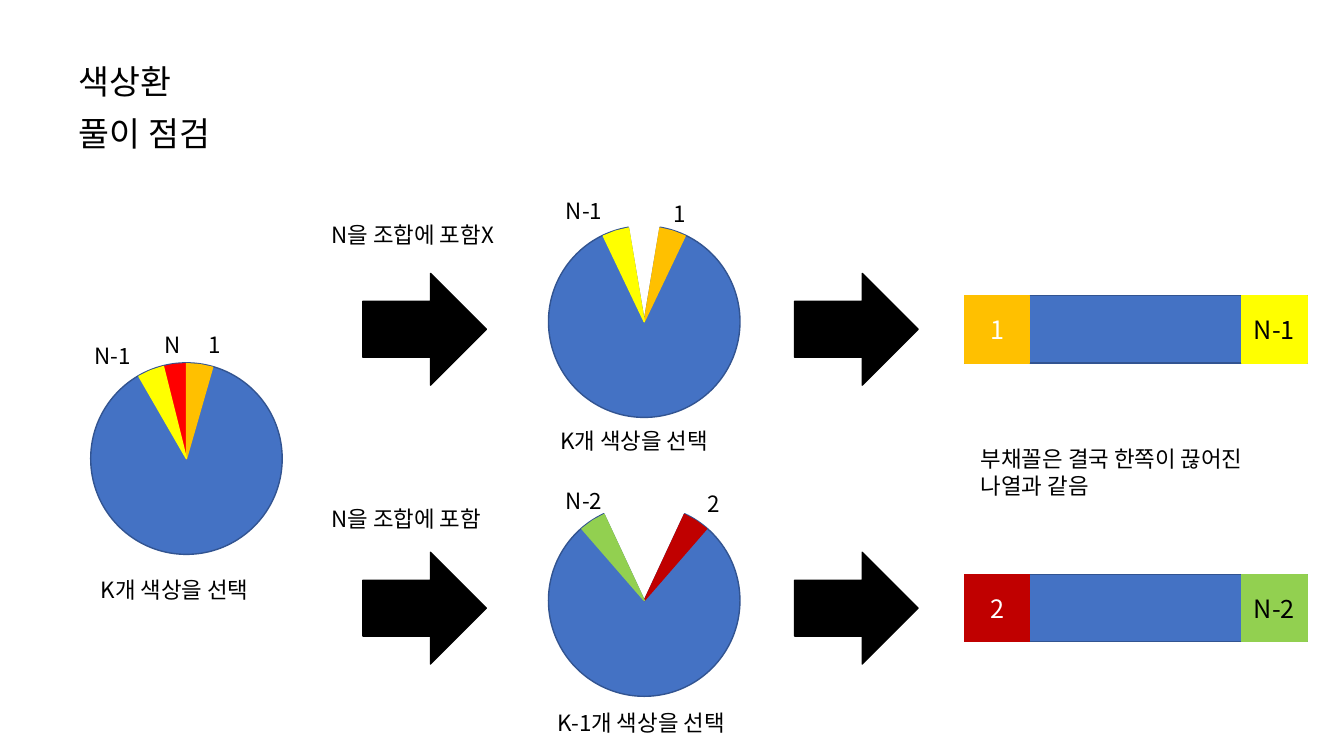
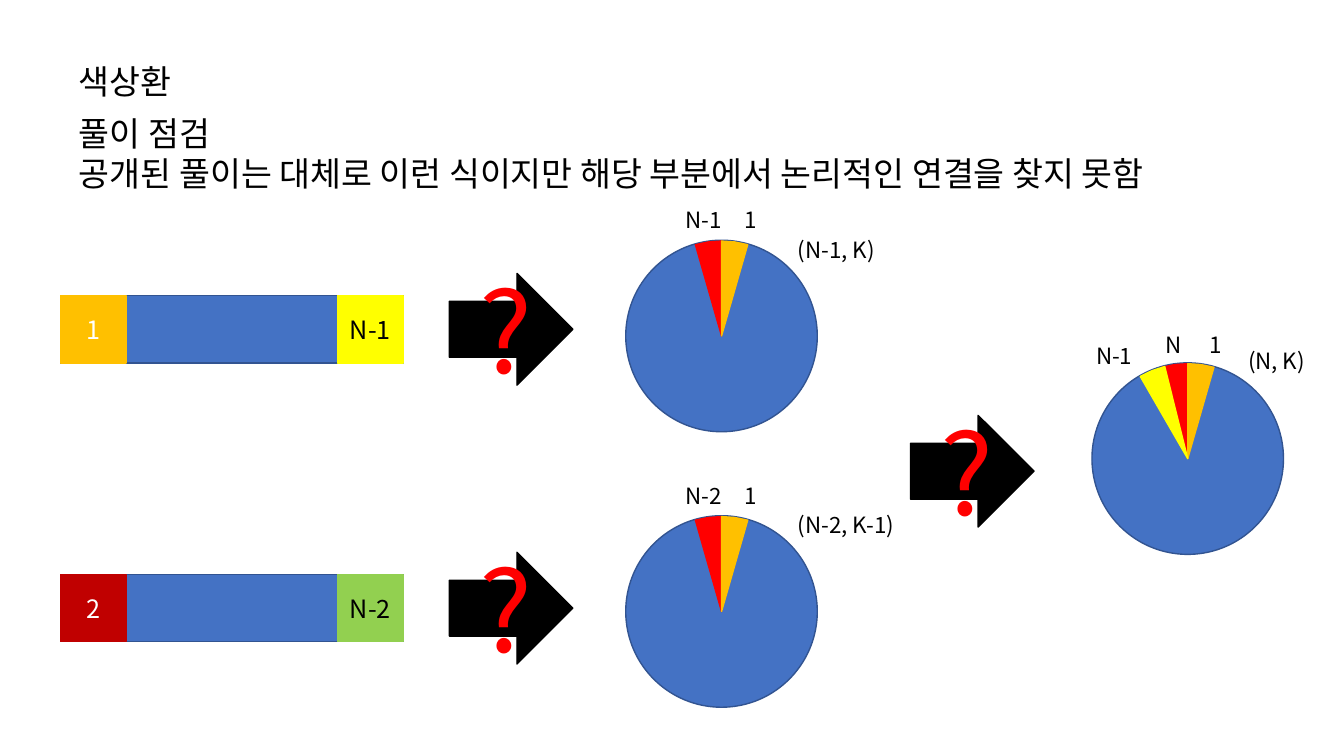
from dataclasses import dataclass
from math import cos, radians, sin

from lxml.etree import SubElement
from pptx import Presentation
from pptx.dml.color import RGBColor
from pptx.enum.shapes import MSO_SHAPE
from pptx.enum.text import MSO_ANCHOR, MSO_AUTO_SIZE, PP_ALIGN
from pptx.oxml.ns import qn
from pptx.util import Inches, Pt


@dataclass(frozen=True)
class Theme:
    font: str = "Noto Sans CJK KR"
    head: int = 24
    cell: int = 18
    note: int = 16
    mark: int = 80
    ink: str = "000000"
    pale: str = "FFFFFF"
    blue: str = "4472C4"
    edge: str = "325491"
    red: str = "FF0000"
    gold: str = "FFC000"
    sun: str = "FFFF00"
    wine: str = "C00000"
    lime: str = "92D050"


look = Theme()
deck = Presentation()
deck.slide_width, deck.slide_height = Inches(13.3333), Inches(7.5)
unit = deck.slide_height / 90

rad, half = 11.4, 8
arrow_w, arrow_h = 14.7, 13.3
bar_w, bar_h, end_w = 40.8, 8, 7.8
rows = (39.2, 72.4)
line_h, mark_h = 4.4, 17.4
slim, mid, wide = 5.9, 7.9, 32.8

plain = {"word_wrap": True, "auto_size": MSO_AUTO_SIZE.SHAPE_TO_FIT_TEXT,
         "vertical_anchor": MSO_ANCHOR.TOP}
boxed = {"word_wrap": True, "auto_size": MSO_AUTO_SIZE.NONE,
         "vertical_anchor": MSO_ANCHOR.MIDDLE}


def paint(shape, fill, line):
    shape.shadow.inherit = False
    shape.fill.solid()
    shape.fill.fore_color.rgb = RGBColor.from_string(fill)
    shape.line.color.rgb = RGBColor.from_string(line)
    shape.line.width = Pt(1)
    return shape


def write(frame, lines, size, ink=look.ink, form=plain, align=PP_ALIGN.LEFT):
    for key, val in form.items():
        setattr(frame, key, val)
    for n, words in enumerate(lines):
        para = frame.add_paragraph() if n else frame.paragraphs[0]
        para.alignment = align
        para.space_before = Pt(0)
        run = para.add_run()
        run.text = words
        font = {"name": look.font, "size": Pt(size), "bold": False}
        for key, val in font.items():
            setattr(run.font, key, val)
        run.font.color.rgb = RGBColor.from_string(ink)
        SubElement(run.font._element, qn("a:ea"), typeface=look.font)


page = deck.slide_layouts[1]
spots = ((8.2, 6.7, 43.9, 6), (8.2, 12.8, 133.7, 6))
for hold, spot in zip(page.placeholders, spots):
    for key, val in zip(("left", "top", "width", "height"), spot):
        setattr(hold, key, round(val * unit))

full = ((-16, look.red), (0, look.gold), (-30, look.sun))
pair = full[:2]
crown = (("N", -3.8, -15.8, slim), ("1", 1.4, -15.8, slim),
         ("N-1", -12.1, -14.5, mid))

slides = (
    {
        "body": ("풀이 점검",),
        "pies": (
            (22.2, 54.6, 0, full,
             crown + (("K개 색상을 선택", -11.4, 13.4, wide),)),
            (76.7, 38.3, 9.6, ((9.5, look.gold), (-25.5, look.sun)),
             (("1", 2.3, -15.1, slim), ("N-1", -10.5, -15.4, mid),
              ("K개 색상을 선택", -11.2, 12, wide))),
            (76.7, 71.5, 25, ((25, look.wine), (-41, look.lime)),
             (("2", 6.3, -13.7, slim), ("N-2", -10.5, -14.1, mid),
              ("K-1개 색상을 선택", -11.5, 12.3, wide))),
        ),
        "arrows": [(x, y) for x in (43.2, 94.6) for y in rows],
        "mark": "",
        "bars": 114.8,
        "notes": (("N을 조합에 포함X", 38.3, 25.7, wide),
                  ("N을 조합에 포함", 38.3, 59.5, wide),
                  ("부채꼴은 결국 한쪽이 끊어진 나열과 같음", 115.6, 52.4, 37)),
    },
    {
        "body": ("풀이 점검",
                 "공개된 풀이는 대체로 이런 식이지만 해당 부분에서 "
                 "논리적인 연결을 찾지 못함"),
        "pies": (
            (141.4, 54.6, 0, full, crown + (("(N, K)", 6, -13.9, 14.6),)),
            (85.9, 40, 0, pair,
             (("N-1", -5.5, -16, mid), ("1", 1.5, -16, slim),
              ("(N-1, K)", 7.9, -12.5, 12.2))),
            (85.9, 72.8, 0, pair,
             (("N-2", -5.5, -16, mid), ("1", 1.5, -16, slim),
              ("(N-2, K-1)", 7.9, -12.5, 14.6))),
        ),
        "arrows": [(53.5, y) for y in rows] + [(108.4, 56.1)],
        "mark": "?",
        "bars": 7.2,
        "notes": (),
    },
)
ends = (("1", look.gold, "N-1", look.sun), ("2", look.wine, "N-2", look.lime))

for plan in slides:
    slide = deck.slides.add_slide(page)
    shapes = slide.shapes
    write(shapes.title.text_frame, ("색상환",), look.head)
    body = slide.placeholders[1].text_frame
    write(body, plan["body"], look.head)
    for para in body.paragraphs:
        prop = para._p.get_or_add_pPr()
        prop.set("marL", "0")
        prop.set("indent", "0")
        SubElement(prop, qn("a:buNone"))

    texts = [(*note, line_h, look.note, look.ink) for note in plan["notes"]]

    for x, y, gap, cuts, labels in plan["pies"]:
        kind = MSO_SHAPE.PIE if gap else MSO_SHAPE.OVAL
        box = (x - rad, y - rad, 2 * rad, 2 * rad)
        disc = shapes.add_shape(kind, *(round(v * unit) for v in box))
        paint(disc, look.blue, look.edge)
        if gap:
            disc.adjustments[0] = (270 + gap) * 0.6
            disc.adjustments[1] = (270 - gap) * 0.6
        for turn, tint in cuts:
            rim = [(round((x + (rad - 0.1) * sin(radians(a))) * unit),
                    round((y - (rad - 0.1) * cos(radians(a))) * unit))
                   for a in (turn, turn + half, turn + 2 * half)]
            pen = shapes.build_freeform(round(x * unit), round(y * unit))
            pen.add_line_segments(rim, close=True)
            paint(pen.convert_to_shape(), tint, tint)
        texts += [(words, x + dx, y + dy, w, line_h, look.note, look.ink)
                  for words, dx, dy, w in labels]

    for x, y in plan["arrows"]:
        box = (x, y - arrow_h / 2, arrow_w, arrow_h)
        arrow = shapes.add_shape(MSO_SHAPE.RIGHT_ARROW,
                                 *(round(v * unit) for v in box))
        paint(arrow, look.ink, look.ink)
        if plan["mark"]:
            texts.append((plan["mark"], x + 2.4, y - mark_h / 2, 8.2, mark_h,
                          look.mark, look.red))

    left = plan["bars"]
    for y, (first, warm, last, cool) in zip(rows, ends):
        parts = ((left, bar_w, "", look.blue, look.edge, look.ink),
                 (left, end_w, first, warm, warm, look.pale),
                 (left + bar_w - end_w, end_w, last, cool, cool, look.ink))
        for x, w, words, fill, line, ink in parts:
            box = (x, y - bar_h / 2, w, bar_h)
            rect = shapes.add_shape(MSO_SHAPE.RECTANGLE,
                                    *(round(v * unit) for v in box))
            paint(rect, fill, line)
            if words:
                write(rect.text_frame, (words,), look.cell, ink, boxed,
                      PP_ALIGN.CENTER)

    for words, x, y, w, h, size, ink in texts:
        area = shapes.add_textbox(*(round(v * unit) for v in (x, y, w, h)))
        write(area.text_frame, (words,), size, ink)

deck.save("out.pptx")
